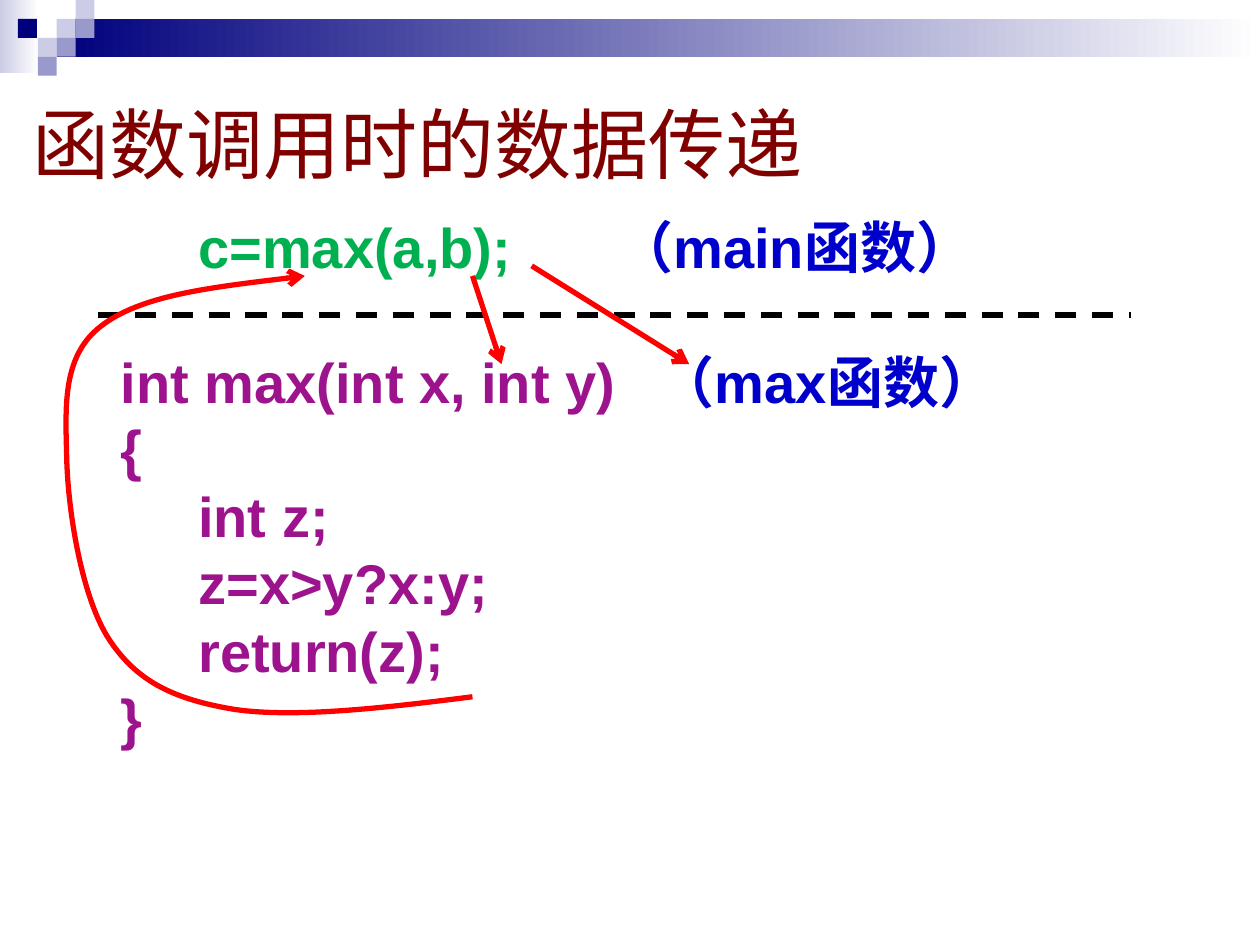
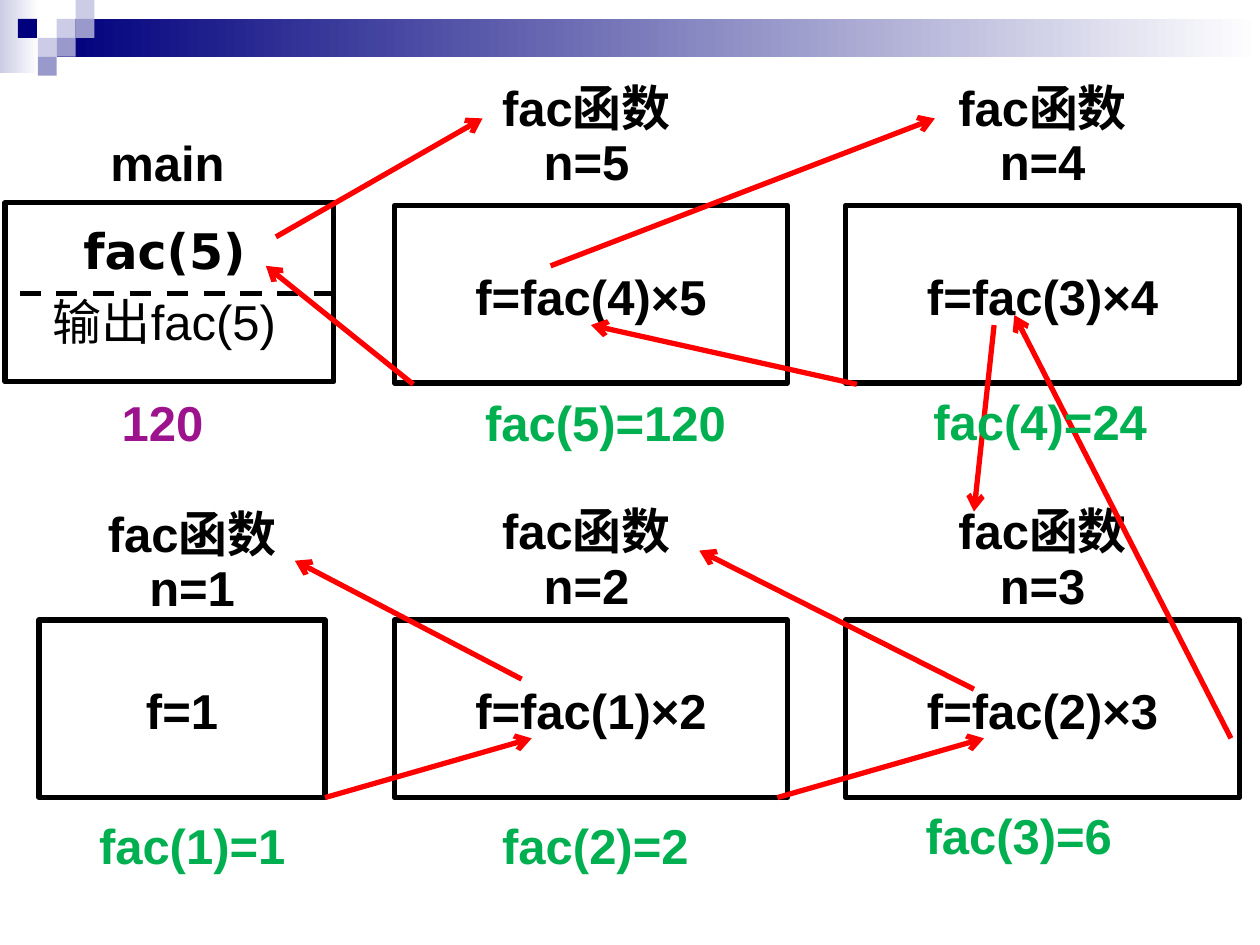
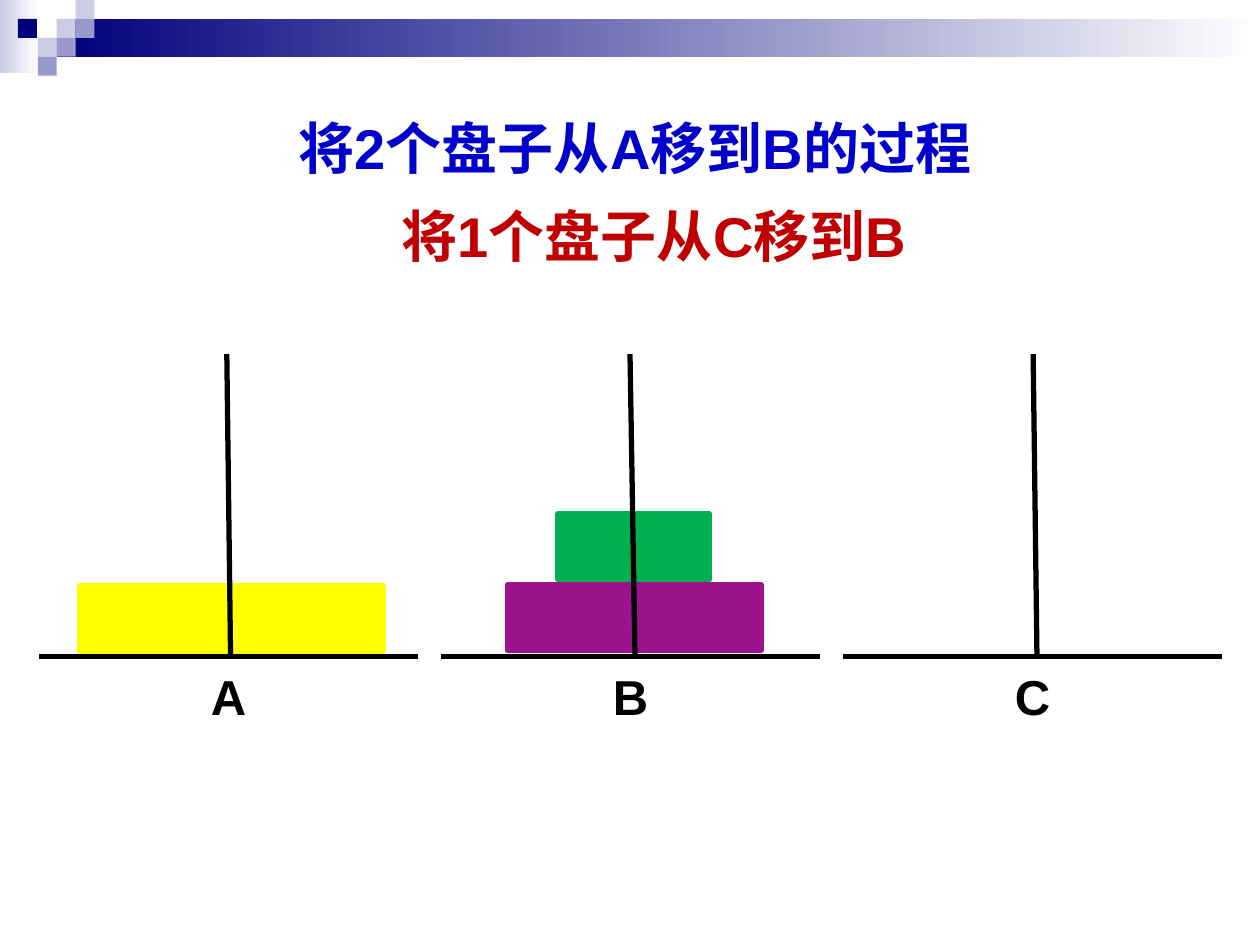
"""Build three slides on function calls, recursion and the tower of Hanoi."""
from lxml import etree
from pptx import Presentation, util as u
from pptx.dml.color import RGBColor
from pptx.enum import dml, shapes, text
from pptx.oxml.ns import qn

COLORS = {
    "black": "000000", "red": "FF0000", "green": "00B050", "purple": "9D138D",
    "blue": "0000CC", "crimson": "C00000", "maroon": "800000", "yellow": "FFFF00",
    "navy": "00007D", "lilac": "CCCCE6", "lavender": "9999CC", "white": "FFFFFF",
}
COLUMNS, ROWS = 10, 7.5
BAND_CELL = 0.15
CODE_PITCH = u.Pt(38.4)
LABEL_PITCH = u.Pt(24)


def rgb(name):
    return RGBColor.from_string(COLORS[name])


def grid(*cells):
    return [u.Inches(cell) for cell in cells]


def style_line(line, color, dashed=False, arrow=False):
    line.color.rgb = rgb(color)
    line.width = u.Pt(3)
    if dashed:
        line.dash_style = dml.MSO_LINE.DASH
    if arrow:
        etree.SubElement(line._get_or_add_ln(), qn("a:tailEnd"), type="arrow")


def add_block(slide, place, fill=None, outline=None, fade=False,
              kind=shapes.MSO_SHAPE.RECTANGLE):
    block = slide.shapes.add_shape(kind, *grid(*place))
    block.shadow.inherit = False
    if fade:
        block.fill.gradient()
        block.fill.gradient_angle = 0
        for stop, color, position in zip(block.fill.gradient_stops, (fill, "white"), (0, 1)):
            stop.color.rgb = rgb(color)
            stop.position = position
    elif fill:
        block.fill.solid()
        block.fill.fore_color.rgb = rgb(fill)
    else:
        block.fill.background()
    if outline:
        style_line(block.line, outline)
    else:
        block.line.fill.background()
    return block


def add_line(slide, start, end, color="black", **look):
    connector = slide.shapes.add_connector(
        shapes.MSO_CONNECTOR.STRAIGHT, *grid(*start, *end))
    style_line(connector.line, color, **look)
    etree.SubElement(connector._element.spPr, qn("a:effectLst"))


def add_curve(slide, points, color):
    start, *rest = [grid(*point) for point in points]
    builder = slide.shapes.build_freeform(*start)
    builder.add_line_segments(rest, close=False)
    curve = builder.convert_to_shape()
    curve.shadow.inherit = False
    curve.fill.background()
    style_line(curve.line, color, arrow=True)
    segments = list(curve._element.iter(qn("a:lnTo")))
    outline = segments[0].getparent()
    for first in range(0, len(segments), 3):
        bezier = etree.SubElement(outline, qn("a:cubicBezTo"))
        for segment in segments[first:first + 3]:
            bezier.append(segment[0])
            outline.remove(segment)


def set_font(font, color, size, bold=True):
    font.name, font.size, font.bold = "Arial", u.Pt(size), bold
    font.color.rgb = rgb(color)


def write(frame, lines, color="black", size=28, spacing=LABEL_PITCH, top=0.05,
          bold=True, align=text.PP_ALIGN.CENTER):
    frame.word_wrap = True
    frame.vertical_anchor = text.MSO_ANCHOR.TOP
    frame.margin_top = u.Inches(top)
    for index, line in enumerate(lines):
        paragraph = frame.add_paragraph() if index else frame.paragraphs[0]
        paragraph.text = line
        paragraph.alignment = align
        paragraph.line_spacing = spacing
        if index:
            paragraph.space_before = u.Pt(7)
        set_font(paragraph.font, color, size, bold)


def add_label(slide, place, lines, **look):
    frame = slide.shapes.add_textbox(*grid(*place)).text_frame
    write(frame, lines, **look)
    return frame


def add_code(slide, place, lines):
    frame = slide.shapes.add_textbox(*grid(*place)).text_frame
    frame.word_wrap = True
    for index, (code, color, remark, remark_at) in enumerate(lines):
        paragraph = frame.add_paragraph() if index else frame.paragraphs[0]
        paragraph.line_spacing = CODE_PITCH
        if index and remark:
            paragraph.space_before = CODE_PITCH
        if not remark:
            paragraph.text = code
            set_font(paragraph.font, color, 32)
            continue
        tabs = etree.SubElement(paragraph._p.get_or_add_pPr(), qn("a:tabLst"))
        etree.SubElement(tabs, qn("a:tab"), pos=str(u.Inches(remark_at)), algn="l")
        for words, tint in ((code + "\t", color), (remark, "blue")):
            run = paragraph.add_run()
            run.text = words
            set_font(run.font, tint, 32)


def add_slide(deck):
    slide = deck.slides.add_slide(deck.slide_layouts[6])
    add_block(slide, (0, 0, 0.31, 0.58), "lilac", fade=True)
    add_block(slide, (0.45, BAND_CELL, COLUMNS - 0.45, 2 * BAND_CELL), "navy", fade=True)
    for column, row, color in (
            (3, 1, "lilac"), (4, 0, "lilac"), (4, 1, "lavender"), (2, 2, "lilac"),
            (0.95, 1, "navy"), (3, 2, "lavender"), (2, 3, "lavender")):
        add_block(slide, (column * BAND_CELL, row * BAND_CELL, BAND_CELL, BAND_CELL), color)
    return slide


def build_data_passing(deck):
    slide = add_slide(deck)
    title = add_label(slide, (0.16, 0.72, 9.69, 0.83), ["函数调用时的数据传递"],
                      color="maroon", size=44, spacing=1.0, bold=False,
                      align=text.PP_ALIGN.LEFT)
    title.vertical_anchor = text.MSO_ANCHOR.MIDDLE
    body = ("{", "     int z;", "     z=x>y?x:y;", "     return(z);", "}")
    add_code(slide, (0.86, 1.64, 8.59, 4.77), [
        ("     c=max(a,b);", "green", "（main函数）", 3.94),
        ("int max(int x, int y)", "purple", "（max函数）", 4.27),
        *((line, "purple", None, None) for line in body)])
    add_line(slide, (0.78, 2.5), (8.98, 2.5), dashed=True)
    add_line(slide, (3.75, 2.19), (3.98, 2.89), "red", arrow=True)
    add_line(slide, (4.22, 2.11), (5.47, 2.89), "red", arrow=True)
    add_curve(slide, [
        (3.75, 5.53), (3.04, 5.62), (2.34, 5.7), (1.86, 5.63), (1.38, 5.55),
        (1.09, 5.41), (0.87, 5.08), (0.65, 4.75), (0.54, 4.06), (0.53, 3.64),
        (0.52, 3.23), (0.49, 2.83), (0.8, 2.59), (1.12, 2.34), (1.77, 2.27),
        (2.42, 2.19)], "red")


def build_recursion(deck):
    slide = add_slide(deck)
    add_block(slide, (0.04, 1.61, 2.61, 1.42), outline="black")
    main_steps = add_label(slide, (0, 1.7, 2.61, 1.42), ["fac(5)", "输出fac(5)"], spacing=1.0)
    main_steps.paragraphs[0].font.name = "DejaVu Sans"
    main_steps.paragraphs[1].font.bold = False
    add_label(slide, (0.51, 0.91, 1.64, 0.7), ["main"], spacing=1.2)
    add_line(slide, (2.66, 2.33), (0.08, 2.33), dashed=True)

    upper, lower = 1.63, 4.92
    left, middle, right = (0.31, 2.27), (3.13, 3.12), (6.71, 3.13)
    calls = (
        (5, "f=fac(4)×5", middle, upper, (3.13, 0.7)),
        (4, "f=fac(3)×4", right, upper, (6.75, 0.7)),
        (2, "f=fac(1)×2", middle, lower, (3.13, 4.06)),
        (3, "f=fac(2)×3", right, lower, (6.75, 4.06)),
        (1, "f=1", left, lower, (0, 4.08)),
    )
    for n, formula, (x, width), y, heading in calls:
        call = add_block(slide, (x, y, width, 1.41), outline="black")
        write(call.text_frame, [formula], spacing=1.2, top=0.39)
        add_label(slide, (*heading, 3.05, 0.92), ["fac函数", f"n={n}"])

    for start, end in (
            ((2.19, 1.88), (3.83, 0.94)), ((4.37, 2.11), (7.42, 0.94)),
            ((7.89, 2.58), (7.73, 4.06)), ((7.73, 5.47), (5.55, 4.37)),
            ((4.14, 5.39), (2.34, 4.45)), ((2.58, 6.33), (4.22, 5.86)),
            ((6.17, 6.33), (7.81, 5.86)), ((9.77, 5.86), (8.05, 2.5)),
            ((6.8, 3.05), (4.69, 2.58)), ((3.28, 3.05), (2.11, 2.11))):
        add_line(slide, start, end, "red", arrow=True)

    for result, x, y in (
            ("fac(1)=1", 0, 6.56), ("fac(2)=2", 3.2, 6.56), ("fac(3)=6", 6.56, 6.48),
            ("fac(4)=24", 6.73, 3.19), ("fac(5)=120", 3.28, 3.2)):
        add_label(slide, (x, y, 3.05, 0.62), [result], color="green")
    add_label(slide, (0.39, 3.2, 1.8, 0.47), ["120"], color="purple")


def build_hanoi(deck):
    slide = add_slide(deck)
    base, peg_top, pitch = 5.21, 2.81, 3.19
    for index, peg in enumerate("ABC"):
        x = 0.31 + index * pitch
        add_line(slide, (x, base), (x + 3.01, base))
        add_label(slide, (x + 1.12, 5.37, 0.77, 0.49), [peg])
    for x, y, width, color in (
            (0.63, 4.65, 2.41, "yellow"), (4.03, 4.64, 2.01, "purple"),
            (4.43, 4.08, 1.2, "green")):
        add_block(slide, (x, y, width, 0.52), color, outline=color,
                  kind=shapes.MSO_SHAPE.FLOWCHART_PROCESS)
    for foot, tip in ((1.83, 1.8), (5.04, 5), (8.23, 8.2)):
        add_line(slide, (foot, base), (tip, peg_top))
    for x, y, width, words, color in (
            (1.72, 0.86, 6.64, "将2个盘子从A移到B的过程", "blue"),
            (2.73, 1.56, 4.92, "将1个盘子从C移到B", "crimson")):
        add_label(slide, (x, y, width, 0.7), [words], color=color, size=32, top=0.24)


def main():
    deck = Presentation()
    deck.slide_width, deck.slide_height = grid(COLUMNS, ROWS)
    build_data_passing(deck)
    build_recursion(deck)
    build_hanoi(deck)
    deck.save("out.pptx")


if __name__ == "__main__":
    main()
